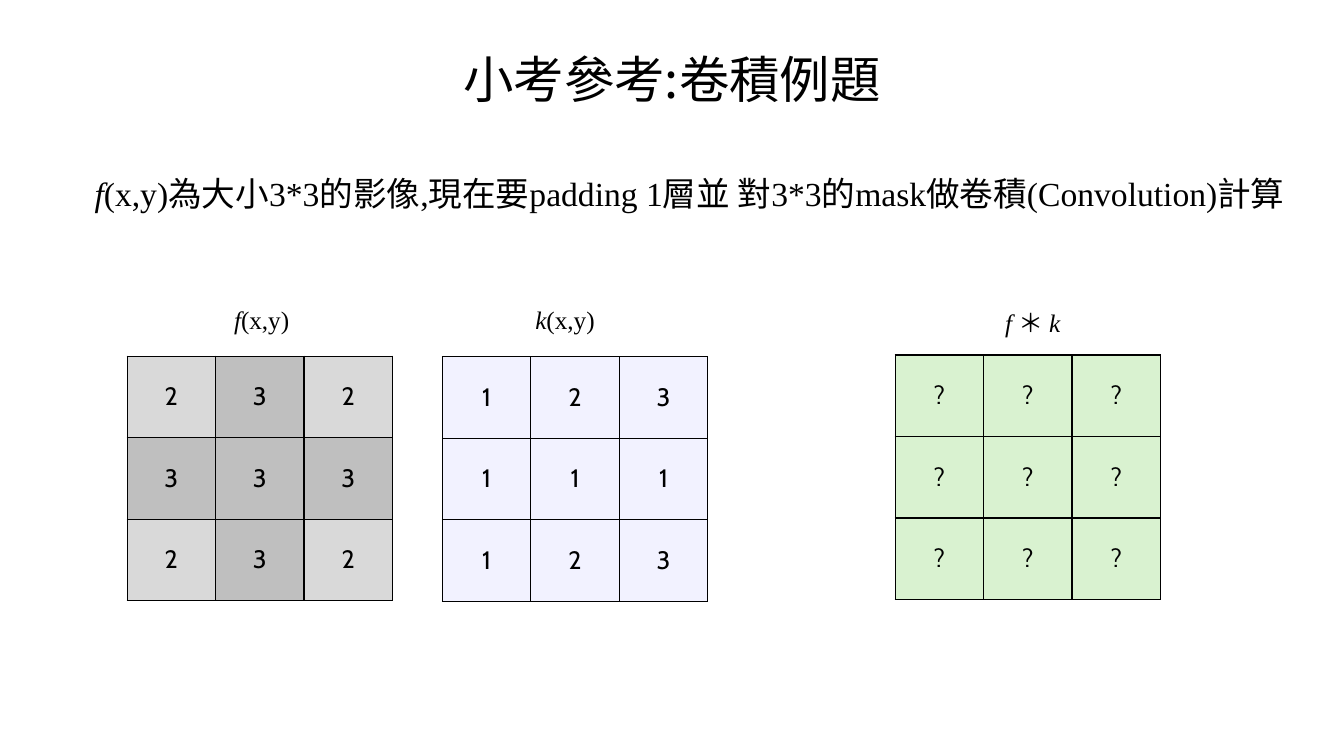
from lxml.etree import SubElement
from pptx import Presentation
from pptx.dml.color import RGBColor
from pptx.enum.text import MSO_ANCHOR, PP_ALIGN
from pptx.oxml.ns import qn
from pptx.util import Pt

BLACK = RGBColor(0x00, 0x00, 0x00)
LIGHT_GRAY = RGBColor(0xD9, 0xD9, 0xD9)
GRAY = RGBColor(0xBF, 0xBF, 0xBF)
LAVENDER = RGBColor(0xD5, 0xD5, 0xFF)
GREEN = RGBColor(0xD9, 0xF2, 0xD0)

CJK, SERIF, CELL_FONT = "Noto Sans CJK SC", "Times New Roman", "Cabin"

TITLE = "小考參考:卷積例題"
# Text runs are (text, italic)
QUESTION = [("f", True),
            ("(x,y)為大小3*3的影像,現在要padding 1層並 對3*3的mask做卷積(Convolution)計算", False)]

# Matrices: caption runs, caption (left, top), table (left, top),
# rows, fill for each value, opacity in percent
MATRICES = [
    ([("f", True), ("(x,y)", False)], (153.4, 213.8), (90.8, 254.4),
     ["232", "333", "232"], {"2": LIGHT_GRAY, "3": GRAY}, 100),
    ([("k", True), ("(x,y)", False)], (370.1, 213.8), (316, 254.8),
     ["123", "111", "123"], dict.fromkeys("123", LAVENDER), 30),
    ([("f ", True), ("＊ ", False), ("k", True)], (704.2, 216), (639.4, 253.6),
     ["???"] * 3, {"?": GREEN}, 100),
]
CAPTION_W, CAPTION_H = 67, 28.8
COL_W, ROW_H = 63.2, 58.2


def style_run(r, size, font, italic=None):
    r.font.size, r.font.name, r.font.italic = Pt(size), font, italic
    r.font.color.rgb = BLACK
    SubElement(r._r.get_or_add_rPr(), qn("a:ea"), typeface=CJK)


def add_text(s, left, top, width, height, runs, size, align, wrap):
    tf = s.shapes.add_textbox(Pt(left), Pt(top), Pt(width), Pt(height)).text_frame
    tf.word_wrap = wrap
    p = tf.paragraphs[0]
    p.alignment = align
    for text, italic in runs:
        r = p.add_run()
        r.text = text
        style_run(r, size, SERIF, italic)


def add_borders(cell):
    tcPr = cell._tc.get_or_add_tcPr()
    for side in ("lnL", "lnR", "lnT", "lnB"):
        ln = SubElement(tcPr, qn(f"a:{side}"), w=str(Pt(1)))
        fill = SubElement(ln, qn("a:solidFill"))
        SubElement(fill, qn("a:srgbClr"), val=str(BLACK))


def fill_cell(cell, color, opacity):
    cell.fill.solid()
    cell.fill.fore_color.rgb = color
    if opacity < 100:
        clr = cell._tc.tcPr.find(qn("a:solidFill")).find(qn("a:srgbClr"))
        SubElement(clr, qn("a:alpha"), val=str(opacity * 1000))


def add_matrix(s, left, top, rows, fills, opacity):
    n_rows, n_cols = len(rows), len(rows[0])
    table = s.shapes.add_table(n_rows, n_cols, Pt(left), Pt(top),
                               Pt(n_cols * COL_W), Pt(n_rows * ROW_H)).table
    table.first_row = table.horz_banding = False
    for col in table.columns:
        col.width = Pt(COL_W)
    for i, values in enumerate(rows):
        table.rows[i].height = Pt(ROW_H)
        for j, value in enumerate(values):
            cell = table.cell(i, j)
            add_borders(cell)
            fill_cell(cell, fills[value], opacity)
            cell.vertical_anchor = MSO_ANCHOR.MIDDLE
            p = cell.text_frame.paragraphs[0]
            p.text = value
            p.alignment = PP_ALIGN.CENTER
            style_run(p.runs[0], 18, CELL_FONT)


prs = Presentation()
prs.slide_width, prs.slide_height = Pt(960), Pt(540)
s = prs.slides.add_slide(prs.slide_layouts[5])

title = s.shapes.title
title.left, title.top, title.width, title.height = Pt(0), Pt(30.2), Pt(960), Pt(51)
title.text_frame.text = TITLE
p = title.text_frame.paragraphs[0]
p.alignment = PP_ALIGN.CENTER
style_run(p.runs[0], 36, CJK)

add_text(s, 60.5, 120.2, 873.4, 65, QUESTION, 24, PP_ALIGN.LEFT, True)
for caption, caption_at, table_at, rows, fills, opacity in MATRICES:
    add_matrix(s, *table_at, rows, fills, opacity)
    add_text(s, *caption_at, CAPTION_W, CAPTION_H, caption, 18, PP_ALIGN.CENTER, False)

prs.save("out.pptx")
